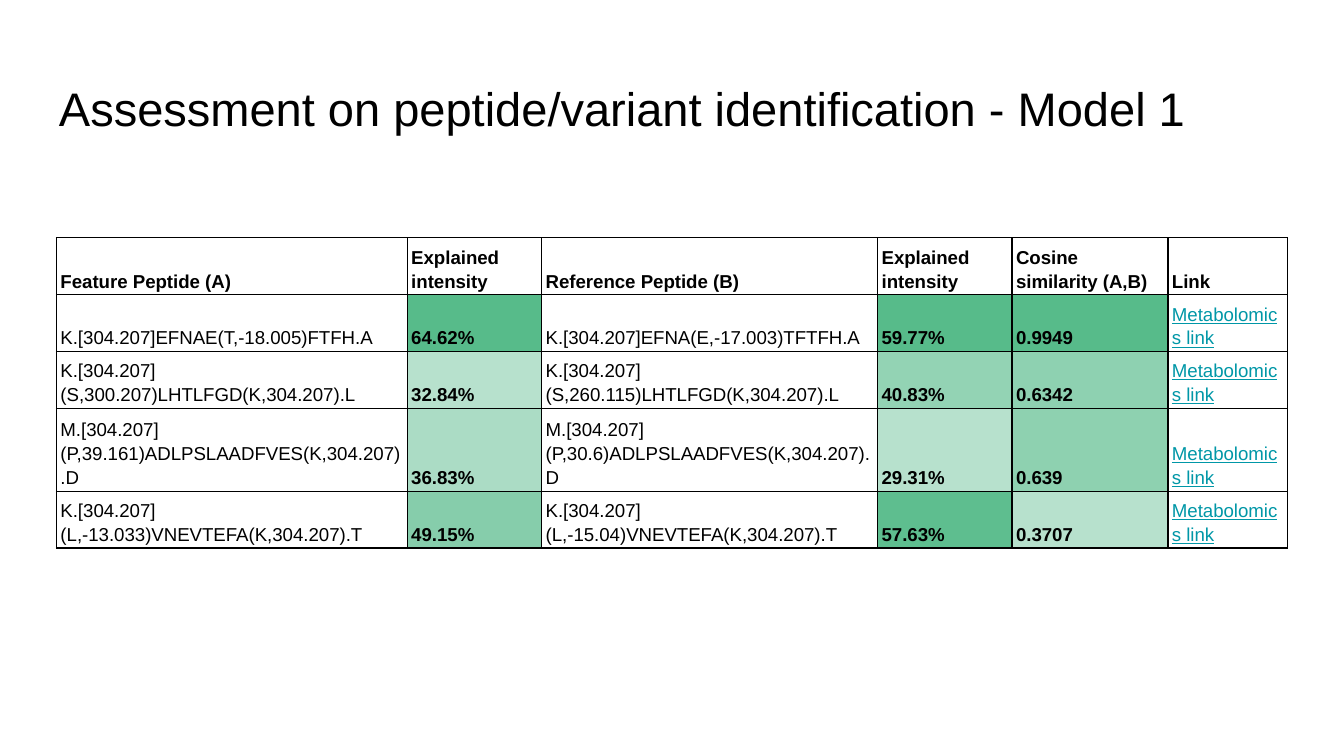
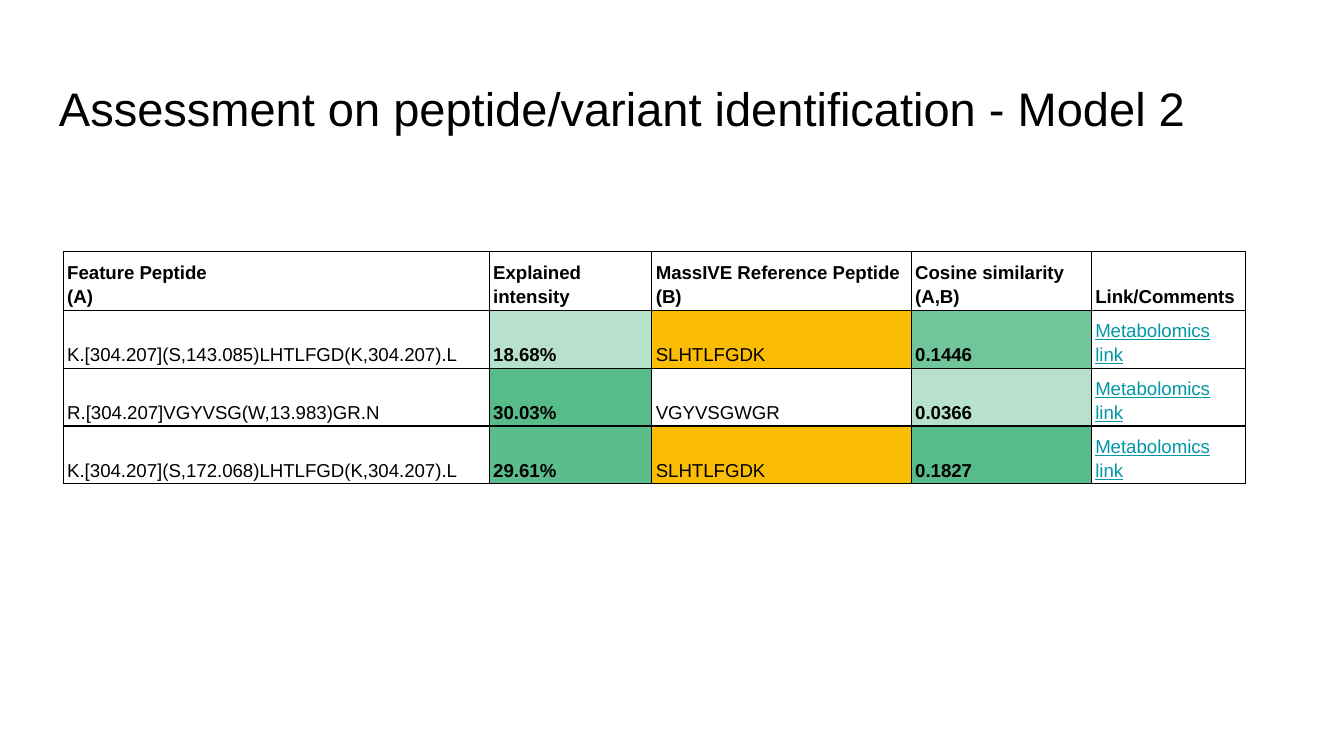
from dataclasses import dataclass

from lxml import etree
from pptx import Presentation
from pptx.dml.color import RGBColor
from pptx.enum import text
from pptx.oxml import ns
from pptx.util import Inches, Pt


@dataclass(frozen=True)
class Theme:
    font: str = "Arial"
    ink: str = "000000"
    paper: str = "FFFFFF"
    link: str = "0097A7"
    highlight: str = "FBBC04"
    scale_low: str = "B7E1CD"
    scale_high: str = "57BB8A"
    title_size: float = 25.2
    cell_size: float = 10
    border: float = 0.75
    line_spacing: float = 1.15


def scale_colours(values, low, high):
    """Shade each value between low (column minimum) and high (maximum)."""
    numbers = [float(v.rstrip("%")) for v in values]
    least, span = min(numbers), max(numbers) - min(numbers)
    ends = list(zip(RGBColor.from_string(low), RGBColor.from_string(high)))
    return [
        str(RGBColor(*(round(a + (b - a) * (n - least) / span) for a, b in ends)))
        for n in numbers
    ]


class Deck:
    def __init__(self, theme):
        self.theme = theme
        self.prs = Presentation()
        self.prs.slide_width = Inches(10)
        self.prs.slide_height = Inches(10 * 9 / 16)
        self.s = None

    def slide(self, title):
        self.s = self.prs.slides.add_slide(self.prs.slide_layouts[6])
        self.s.background.fill.solid()
        self.s.background.fill.fore_color.rgb = RGBColor.from_string(self.theme.paper)
        self.title(title)

    def style(self, p, size, colour, bold=False, underline=False):
        p.font.name, p.font.size = self.theme.font, Pt(size)
        p.font.bold, p.font.underline = bold, underline
        p.font.color.rgb = RGBColor.from_string(colour)

    def title(self, words):
        sp = self.s.shapes.add_textbox(Inches(0.34), Inches(0.49), Inches(9.32), Inches(0.63))
        tf = sp.text_frame
        tf.word_wrap = True
        tf.vertical_anchor = text.MSO_ANCHOR.MIDDLE
        tf.margin_left = tf.margin_right = tf.margin_top = tf.margin_bottom = Inches(0.1)
        tf.text = words
        self.style(tf.paragraphs[0], self.theme.title_size, self.theme.ink)

    def borders(self, cell):
        props = cell._tc.get_or_add_tcPr()
        for i, side in enumerate(("lnL", "lnR", "lnT", "lnB")):
            line = etree.Element(ns.qn(f"a:{side}"), w=str(Pt(self.theme.border)))
            fill = etree.SubElement(line, ns.qn("a:solidFill"))
            etree.SubElement(fill, ns.qn("a:srgbClr"), val=self.theme.ink)
            props.insert(i, line)

    def cell(self, cell, words, fill, colour, bold=False, underline=False):
        cell.margin_left = cell.margin_right = Inches(0.03)
        cell.margin_top = cell.margin_bottom = Inches(0.02)
        cell.vertical_anchor = text.MSO_ANCHOR.BOTTOM
        cell.fill.solid()
        cell.fill.fore_color.rgb = RGBColor.from_string(fill)
        self.borders(cell)
        cell.text_frame.text = words
        for p in cell.text_frame.paragraphs:
            p.line_spacing = self.theme.line_spacing
            p.space_before = p.space_after = Pt(0)
            self.style(p, self.theme.cell_size, colour, bold, underline)

    def table(self, left, top, columns, heights, rows, highlighted=()):
        """Columns are (heading, width, kind); kind is text, scale or link."""
        t = self.theme
        widths = [width for _, width, _ in columns]
        table = self.s.shapes.add_table(
            len(heights), len(columns), Inches(left), Inches(top),
            Inches(sum(widths)), Inches(sum(heights))).table
        table.first_row = table.horz_banding = False
        for row, height in zip(table.rows, heights):
            row.height = Inches(height)
        for c, (heading, width, kind) in enumerate(columns):
            table.columns[c].width = Inches(width)
            self.cell(table.cell(0, c), heading, t.paper, t.ink, bold=True)
            values = [row[c] for row in rows]
            if kind == "scale":
                fills = scale_colours(values, t.scale_low, t.scale_high)
            else:
                fills = [t.highlight if v in highlighted else t.paper for v in values]
            for r, (value, fill) in enumerate(zip(values, fills), 1):
                self.cell(table.cell(r, c), value, fill,
                          t.link if kind == "link" else t.ink,
                          bold=kind == "scale", underline=kind == "link")


TITLE = "Assessment on peptide/variant identification - Model {}"
LINK = "Metabolomics link"


def model_1(deck):
    deck.slide(TITLE.format(1))
    columns = [
        ("Feature Peptide (A)", 2.61, "text"),
        ("Explained intensity", 1, "scale"),
        ("Reference Peptide (B)", 2.5, "text"),
        ("Explained intensity", 1, "scale"),
        ("Cosine similarity (A,B)", 1.16, "scale"),
        ("Link", 0.89, "link"),
    ]
    rows = [
        ("K.[304.207]EFNAE(T,-18.005)FTFH.A", "64.62%",
         "K.[304.207]EFNA(E,-17.003)TFTFH.A", "59.77%", "0.9949", LINK),
        ("K.[304.207](S,300.207)LHTLFGD(K,304.207).L", "32.84%",
         "K.[304.207](S,260.115)LHTLFGD(K,304.207).L", "40.83%", "0.6342", LINK),
        ("M.[304.207](P,39.161)ADLPSLAADFVES(K,304.207).D", "36.83%",
         "M.[304.207](P,30.6)ADLPSLAADFVES(K,304.207).D", "29.31%", "0.639", LINK),
        ("K.[304.207](L,-13.033)VNEVTEFA(K,304.207).T", "49.15%",
         "K.[304.207](L,-15.04)VNEVTEFA(K,304.207).T", "57.63%", "0.3707", LINK),
    ]
    deck.table(0.42, 1.77, columns, [0.42] * 5, rows)


def model_2(deck):
    deck.slide(TITLE.format(2))
    columns = [
        ("Feature Peptide\n(A)", 3.17, "text"),
        ("Explained intensity", 1.21, "scale"),
        ("MassIVE Reference Peptide (B)", 1.93, "text"),
        ("Cosine similarity (A,B)", 1.34, "scale"),
        ("Link/Comments", 1.15, "link"),
    ]
    rows = [
        ("K.[304.207](S,143.085)LHTLFGD(K,304.207).L", "18.68%", "SLHTLFGDK", "0.1446", LINK),
        ("R.[304.207]VGYVSG(W,13.983)GR.N", "30.03%", "VGYVSGWGR", "0.0366", LINK),
        ("K.[304.207](S,172.068)LHTLFGD(K,304.207).L", "29.61%", "SLHTLFGDK", "0.1827", LINK),
    ]
    deck.table(0.47, 1.87, columns, [0.44] + [0.43] * 3, rows, highlighted=["SLHTLFGDK"])


def main():
    deck = Deck(Theme())
    model_1(deck)
    model_2(deck)
    deck.prs.save("out.pptx")


if __name__ == "__main__":
    main()
